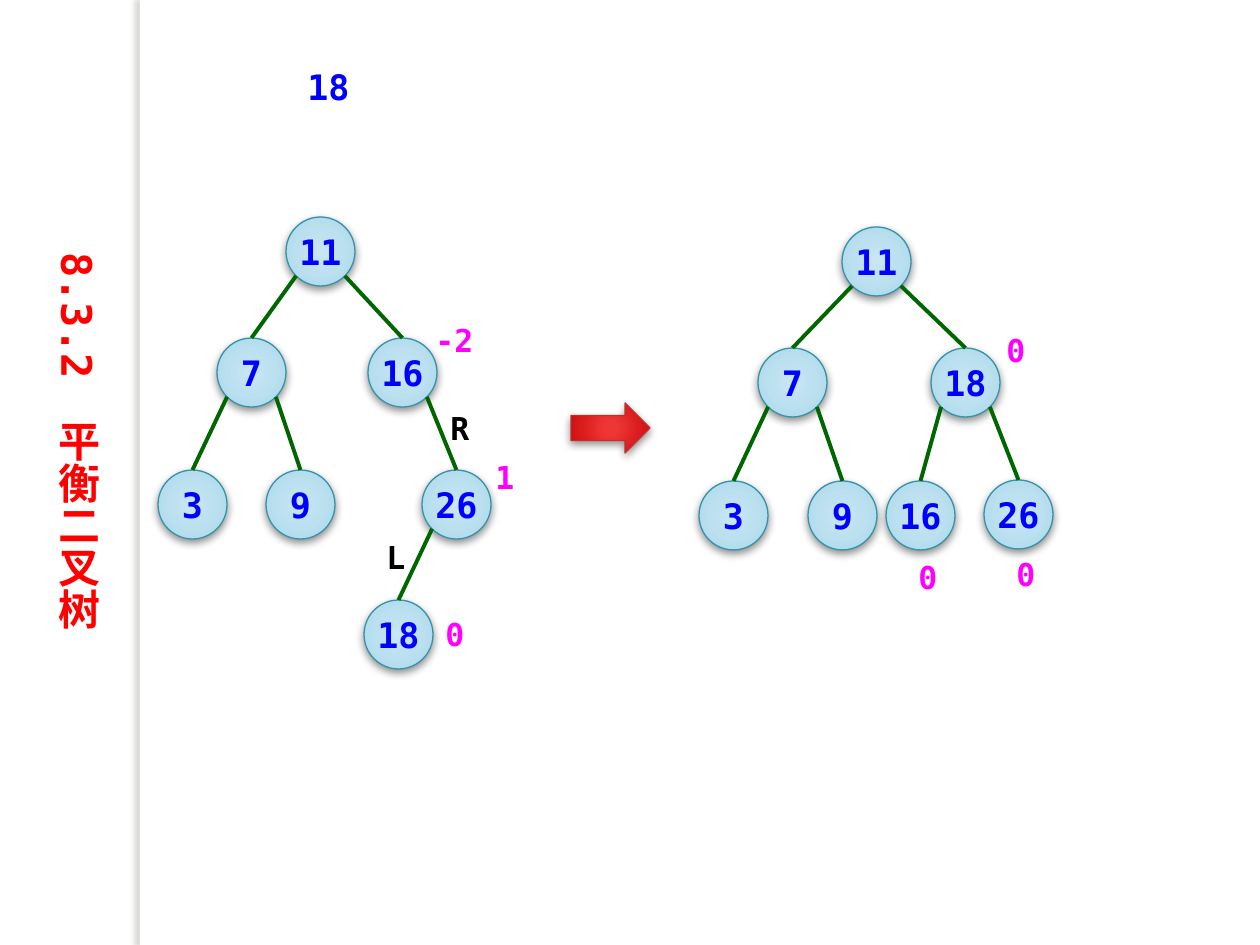
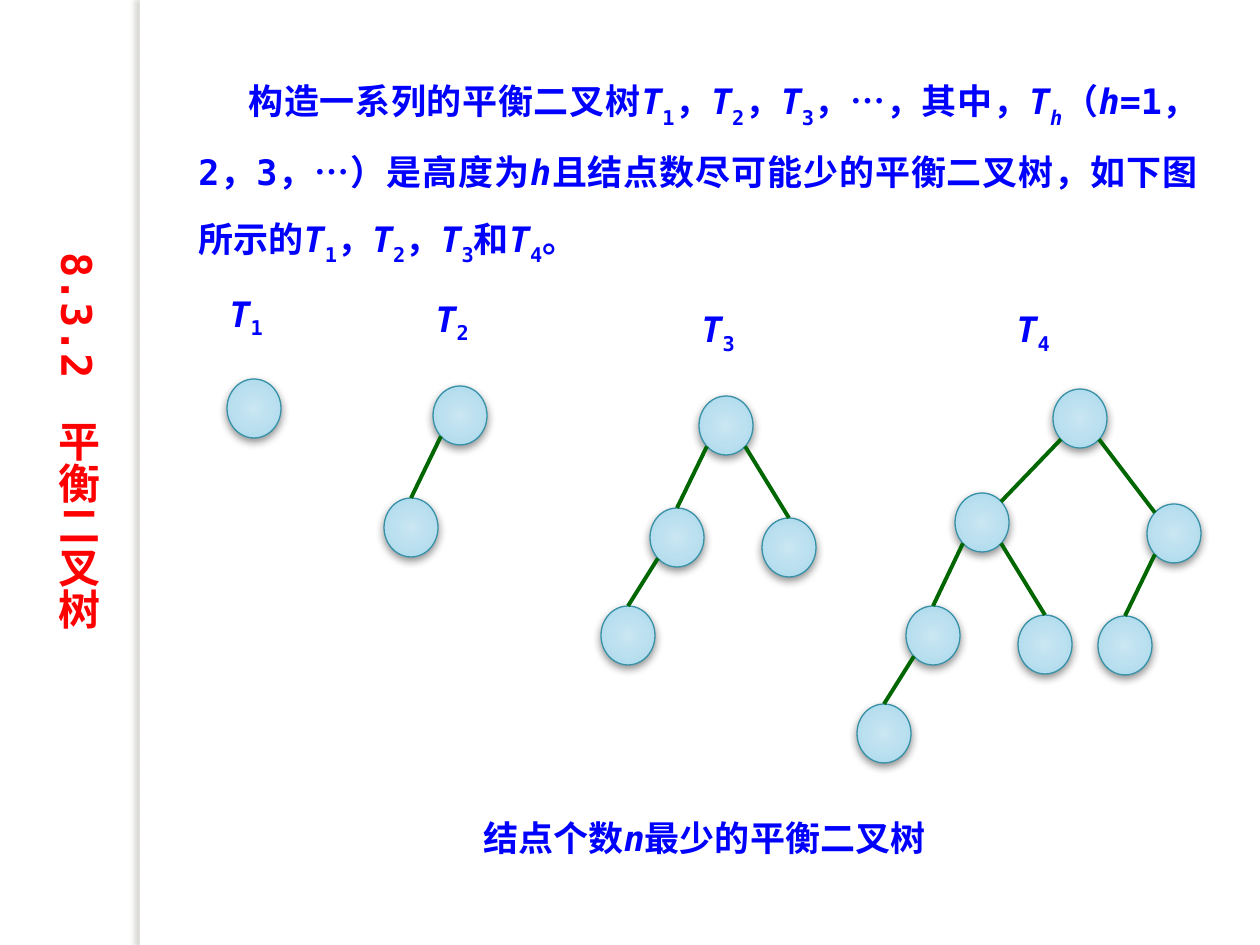
from lxml.etree import SubElement
from math import sqrt
from pptx import Presentation
from pptx.dml.color import RGBColor
from pptx.enum.shapes import MSO_CONNECTOR as Connector, MSO_SHAPE as Preset
from pptx.enum.text import MSO_ANCHOR as Anchor, MSO_AUTO_SIZE as AutoSize, PP_ALIGN as Align
from pptx.oxml import parse_xml
from pptx.oxml.ns import nsdecls, qn
from pptx.util import Emu, Pt

FONT_NAME = "DejaVu Sans Mono"
WHITE = RGBColor(0xFF, 0xFF, 0xFF)
BLACK = RGBColor(0, 0, 0)
BLUE = RGBColor(0, 0, 0xFF)
RED = RGBColor(0xFF, 0, 0)
MAGENTA = RGBColor(0xFF, 0, 0xFF)
GREEN = RGBColor(0, 0x66, 0)
TEAL = RGBColor(0x38, 0x91, 0xA7)
BRICK = RGBColor(0xC3, 0x2D, 0x2E)
BAND_SHADOW = RGBColor(0x73, 0x6F, 0x63)
NODE_STOPS = [
    (0, RGBColor(0xC9, 0xE6, 0xF2)),
    (50, RGBColor(0xBB, 0xE0, 0xEF)),
    (97, RGBColor(0xA4, 0xD8, 0xED)),
    (100, RGBColor(0x9B, 0xD7, 0xEE)),
]
ARROW_STOPS = [
    (0, RGBColor(0xEF, 0x37, 0x37)),
    (15, RGBColor(0xEE, 0x36, 0x37)),
    (62, RGBColor(0xDB, 0x1C, 0x1C)),
    (97, RGBColor(0xC7, 0x0C, 0x0D)),
    (100, RGBColor(0xC3, 0x00, 0x01)),
]
TITLE_TEXT = "8.3.2　平衡二叉树"
PLAIN = {"italic": False}
ITALIC = {"italic": True}


def px(value):
    return Emu(round(value * 914400 / 126))


def box(*lengths):
    return [px(length) for length in lengths]


def apply_format(target, values):
    for name, value in values.items():
        setattr(target, name, value)


def add_run(paragraph, text, color, size, style=PLAIN, baseline=0):
    run = paragraph.add_run()
    run.text = text
    apply_format(run.font, {"name": FONT_NAME, "size": Pt(size), "bold": True, **style})
    run.font.color.rgb = color
    if baseline:
        run.font._element.set("baseline", str(baseline * 1000))


def term(subscript, style=PLAIN, baseline=-30):
    return [("T", ITALIC), (subscript, style, baseline)]


def add_text(slide, pieces, place, color=BLUE, size=20, layout=None):
    text_box = slide.shapes.add_textbox(*box(*place))
    text_box.text_frame.word_wrap = True
    paragraph = text_box.text_frame.paragraphs[0]
    apply_format(paragraph, layout or {})
    for piece in pieces:
        add_run(paragraph, piece[0], color, size, *piece[1:])
    return paragraph


def add_shadow(shape, color, alpha, blur, distance, angle):
    shape.shadow.inherit = False
    effects = shape._element.spPr.find(qn("a:effectLst"))
    shadow = SubElement(effects, qn("a:outerShdw"), blurRad=str(Pt(blur)),
                        dist=str(Pt(distance)), dir=str(angle * 60000), rotWithShape="0")
    tint = SubElement(shadow, qn("a:srgbClr"), val=str(color))
    SubElement(tint, qn("a:alpha"), val=str(alpha * 1000))


def add_glossy_shape(slide, preset, place, stops, line_color):
    shape = slide.shapes.add_shape(preset, *box(*place))
    shape.line.color.rgb = line_color
    shape.line.width = Pt(0.75)
    stop_xml = "".join(
        f'<a:gs pos="{position * 1000}"><a:srgbClr val="{color}"/></a:gs>'
        for position, color in stops
    )
    gradient = parse_xml(
        f'<a:gradFill {nsdecls("a")} rotWithShape="1"><a:gsLst>{stop_xml}</a:gsLst>'
        '<a:path path="circle"><a:fillToRect l="50000" t="50000" r="50000" b="50000"/>'
        '</a:path></a:gradFill>'
    )
    shape._element.spPr.insert(2, gradient)
    add_shadow(shape, BLACK, 43, 5, 2, 90)
    return shape


def add_node(slide, place, label=""):
    node = add_glossy_shape(slide, Preset.OVAL, place, NODE_STOPS, TEAL)
    if label:
        frame = node.text_frame
        apply_format(frame, {"word_wrap": False, "vertical_anchor": Anchor.MIDDLE})
        frame.paragraphs[0].alignment = Align.CENTER
        add_run(frame.paragraphs[0], label, BLUE, 20)
    return node


def diagonal_point(node, side, end):
    reach = sqrt(0.5) / 2
    return (round(node.left + node.width * (0.5 + side * reach)),
            round(node.top + node.height * (0.5 + end * reach)))


def add_edge(slide, parent, child, to_corner):
    side = 1 if child.left > parent.left else -1
    start = diagonal_point(parent, side, 1)
    finish = diagonal_point(child, -side, -1)
    edge = slide.shapes.add_connector(Connector.STRAIGHT, *start, *finish)
    if not to_corner:
        edge.end_connect(child, 0)
    edge.line.color.rgb = GREEN
    edge.line.width = Pt(2.25)
    SubElement(edge._element.spPr, qn("a:effectLst"))


def add_tree(slide, places, edges, size, labelled=False, corner_parents=()):
    nodes = {
        name: add_node(slide, (*place, *size), name if labelled else "")
        for name, place in places.items()
    }
    for parent, children in edges.items():
        for child in children:
            add_edge(slide, nodes[parent], nodes[child], parent in corner_parents)


def add_base_slide(presentation):
    slide = presentation.slides.add_slide(presentation.slide_layouts[5])
    band = slide.shapes.add_shape(Preset.RECTANGLE, *box(140, 0, 10, 945))
    band.fill.solid()
    band.fill.fore_color.rgb = WHITE
    band.line.fill.background()
    add_shadow(band, BAND_SHADOW, 25, 3, 3, 180)
    title = slide.shapes.title
    apply_format(title, dict(zip(("left", "top", "width", "height"), box(39, 246, 77, 433))))
    frame = title.text_frame
    apply_format(frame, {"auto_size": AutoSize.NONE, "word_wrap": True,
                         "vertical_anchor": Anchor.TOP})
    frame._txBody.bodyPr.set("vert", "eaVert")
    frame.paragraphs[0].alignment = Align.CENTER
    add_run(frame.paragraphs[0], TITLE_TEXT, RED, 24)
    return slide


def build_rotation_slide(presentation):
    slide = add_base_slide(presentation)
    node_size = (69, 69)
    unbalanced = {"7": (217, 338), "3": (158, 470), "11": (286, 217), "9": (266, 470),
                  "16": (368, 338), "26": (422, 470), "18": (364, 600)}
    balanced = {"7": (758, 348), "3": (699, 481), "11": (842, 227), "9": (808, 481),
                "18": (931, 348), "26": (984, 480), "16": (886, 481)}
    add_text(slide, [("18",)], (295, 59, 69, 55))
    add_tree(slide, unbalanced,
             {"11": ["7", "16"], "7": ["3", "9"], "16": ["26"], "26": ["18"]},
             node_size, labelled=True)
    add_tree(slide, balanced,
             {"11": ["7", "18"], "7": ["3", "9"], "18": ["16", "26"]},
             node_size, labelled=True)
    add_glossy_shape(slide, Preset.RIGHT_ARROW, (571, 403, 79, 50), ARROW_STOPS, BRICK)
    notes = [
        ("1", 483, 452, 39, MAGENTA), ("-2", 423, 315, 88, MAGENTA),
        ("0", 433, 609, 39, MAGENTA), ("R", 438, 403, 39, BLACK),
        ("L", 374, 532, 39, BLACK), ("0", 1004, 549, 39, MAGENTA),
        ("0", 994, 325, 59, MAGENTA), ("0", 906, 552, 39, MAGENTA),
    ]
    for text, left, top, width, color in notes:
        add_text(slide, [(text,)], (left, top, width, 50), color, 18)


def build_minimal_trees_slide(presentation):
    slide = add_base_slide(presentation)
    comma = ("，",)
    intro = [
        ("构造一系列的平衡二叉树",), *term("1"), comma, *term("2"), comma, *term("3"),
        ("，…，其中，",), *term("h", ITALIC), ("（",), ("h", ITALIC),
        ("=1，2，3，…）是高度为",), ("h", ITALIC),
        ("且结点数尽可能少的平衡二叉树，如下图所示的",),
        *term("1"), comma, *term("2"), comma, *term("3"), ("和",), *term("4"), ("。",),
    ]
    paragraph = add_text(slide, intro, (186, 49, 1024, 204),
                         layout={"alignment": Align.JUSTIFY, "line_spacing": 1.5})
    paragraph._p.get_or_add_pPr().set("indent", str(px(50)))
    add_text(slide, [("结点个数",), ("n", ITALIC), ("最少的平衡二叉树 ",)],
             (462, 798, 493, 68), layout={"alignment": Align.CENTER, "line_spacing": 1.3})
    trees = [
        ((217, 286), {"root": (227, 379)}, {}, ()),
        ((423, 291), {"root": (433, 386), "left": (384, 498)}, {"root": ["left"]}, ()),
        ((689, 301),
         {"root": (699, 396), "left": (650, 508), "left left": (601, 606),
          "right": (762, 518)},
         {"root": ["left", "right"], "left": ["left left"]}, ()),
        ((1004, 301),
         {"root": (1053, 389), "left": (955, 493), "left left": (906, 606),
          "lowest": (857, 704), "left right": (1018, 615), "right": (1147, 504),
          "right left": (1098, 616)},
         {"root": ["left", "right"], "left": ["left left", "left right"],
          "left left": ["lowest"], "right": ["right left"]}, ("root",)),
    ]
    for height, (label_place, places, edges, corner_parents) in enumerate(trees, 1):
        add_text(slide, term(str(height), baseline=-25), (*label_place, 69, 55))
        add_tree(slide, places, edges, (54, 59), corner_parents=corner_parents)


def main():
    presentation = Presentation()
    apply_format(presentation, {"slide_width": px(1260), "slide_height": px(945)})
    build_rotation_slide(presentation)
    build_minimal_trees_slide(presentation)
    presentation.save("out.pptx")


if __name__ == "__main__":
    main()
